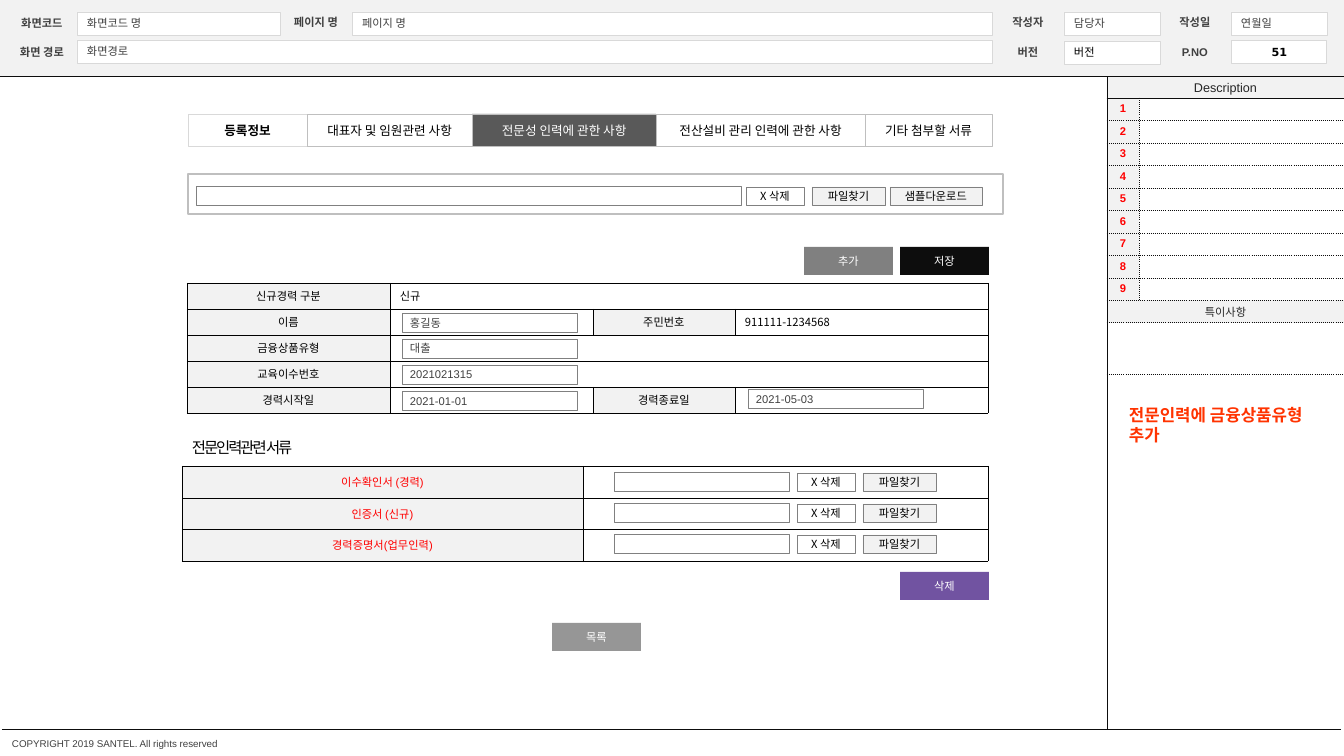
import lxml.etree
import pptx
import pptx.dml.color
import pptx.enum.dml
import pptx.enum.shapes
import pptx.enum.text
import pptx.oxml.ns
import pptx.util

SHAPE = pptx.enum.shapes.MSO_SHAPE
ALIGN = pptx.enum.text.PP_ALIGN
ANCHOR = pptx.enum.text.MSO_ANCHOR
ROUND_DOT = pptx.enum.dml.MSO_LINE.ROUND_DOT
SANS, KOREAN, DIGITS = "Arial", "Noto Sans CJK KR", "DejaVu Sans"
BLACK, WHITE, PALE, GREY, INK = "000000", "FFFFFF", "F2F2F2", "808080", "404040"
LINE, RED, DARK, FAINT, SILVER = "0D0D0D", "FF0000", "262626", "D9D9D9", "BFBFBF"


def px(length):
    return pptx.util.Emu(round(length * 914400 / 100.8))


def rgb(value):
    return pptx.dml.color.RGBColor.from_string(value)


def add_xml(parent, tag, **attributes):
    return lxml.etree.SubElement(parent, pptx.oxml.ns.qn(tag), **attributes)


class Screen:
    """Draws wireframe elements on one page, with lengths in px."""

    def __init__(self, deck):
        self.page = deck.slides.add_slide(deck.slide_layouts[6])

    def style_para(self, para, size=8, colour=BLACK, font=KOREAN, bold=False,
                   align=ALIGN.CENTER, tracking=0):
        para.alignment = align
        para.font.size = pptx.util.Pt(size)
        para.font.bold = bold
        para.font.color.rgb = rgb(colour)
        para.font.name = font
        properties = para._p.pPr.defRPr
        add_xml(properties, "a:ea", typeface=KOREAN)
        if tracking:
            properties.set("spc", str(tracking))

    def set_text(self, frame, text, insets=(0, 0), anchor=ANCHOR.MIDDLE, wrap=False, **style):
        frame.margin_left = frame.margin_right = px(insets[0])
        frame.margin_top = frame.margin_bottom = px(insets[1])
        frame.vertical_anchor = anchor
        frame.word_wrap = wrap
        frame.text = text
        for para in frame.paragraphs:
            self.style_para(para, **style)

    def text(self, left, top, width, height, text, **style):
        box = self.page.shapes.add_textbox(px(left), px(top), px(width), px(height))
        self.set_text(box.text_frame, text, wrap=True, **style)

    def box(self, left, top, width, height, fill=None, line=None, weight=0.5, text="", **style):
        shape = self.page.shapes.add_shape(SHAPE.RECTANGLE, px(left), px(top), px(width), px(height))
        shape.shadow.inherit = False
        if fill:
            shape.fill.solid()
            shape.fill.fore_color.rgb = rgb(fill)
        else:
            shape.fill.background()
        if line:
            shape.line.color.rgb = rgb(line)
            shape.line.width = pptx.util.Pt(weight)
        else:
            shape.line.fill.background()
        if text:
            self.set_text(shape.text_frame, text, **style)

    def rule(self, left, top, right, bottom):
        line = self.page.shapes.add_connector(
            pptx.enum.shapes.MSO_CONNECTOR.STRAIGHT, px(left), px(top), px(right), px(bottom))
        line.line.color.rgb = rgb(LINE)
        line.line.width = pptx.util.Pt(0.25)
        line.line.dash_style = ROUND_DOT
        add_xml(line._element.spPr, "a:effectLst")

    def button(self, left, top, text, fill):
        self.box(left, top, 89, 28, fill, text=text, colour=WHITE)

    def field(self, left, top, text="", width=175):
        self.box(left, top, width, 19, WHITE, GREY, text=text, insets=(8, 0),
                 font=SANS, colour=INK, align=ALIGN.LEFT)

    def upload(self, left, top, width, remove_left):
        self.field(left, top, width=width)
        self.box(remove_left, top + 1, 58, 18, WHITE, GREY, text="X 삭제")
        self.box(remove_left + 66, top + 1, 73, 18, PALE, GREY, text="파일찾기")

    def border(self, cell, colour, weight, dash):
        properties = cell._tc.get_or_add_tcPr()
        for side in "LRTB":
            edge = add_xml(properties, f"a:ln{side}", w=str(pptx.util.Pt(weight)))
            add_xml(add_xml(edge, "a:solidFill"), "a:srgbClr", val=colour)
            add_xml(edge, "a:prstDash", val=dash)

    def table(self, left, top, widths, heights, texts, spans=(), labels=(0,),
              edge=(BLACK, 0.25, "solid"), **style):
        frame = self.page.shapes.add_table(
            len(heights), len(widths), px(left), px(top), px(sum(widths)), px(sum(heights)))
        table = frame.table
        table.first_row = table.horz_banding = False
        for column, width in zip(table.columns, widths):
            column.width = px(width)
        for row, height in zip(table.rows, heights):
            row.height = px(height)
        for row, line in enumerate(texts):
            for column, text in enumerate(line):
                cell = table.cell(row, column)
                label = bool(text) and column in labels
                self.border(cell, *edge)
                cell.fill.solid()
                cell.fill.fore_color.rgb = rgb(PALE if label else WHITE)
                cell.margin_left = px(2 if label else 10)
                cell.margin_right = cell.margin_top = cell.margin_bottom = px(2)
                cell.vertical_anchor = ANCHOR.MIDDLE
                para = cell.text_frame.paragraphs[0]
                para.text = text
                if label:
                    self.style_para(para, font=SANS, **style)
                else:
                    self.style_para(para, align=ALIGN.LEFT)
                para._p.get_or_add_endParaRPr().set("sz", "800")
        for row, first, last in spans:
            table.cell(row, first).merge(table.cell(row, last))
        return table


def draw_header(screen):
    screen.box(0, 0, 1344, 76, PALE)
    for left, top, width, text, colour in (
            (77, 12, 203, "화면코드 명", INK), (352, 12, 640, "페이지 명", INK),
            (77, 40, 915, "화면경로", INK), (1064, 12, 96, "담당자", INK),
            (1231, 12, 96, "연월일", INK), (1064, 41, 96, "버전", BLACK)):
        screen.box(left, top, width, 23, WHITE, FAINT, 0.25, text, insets=(10, 0),
                   font=SANS, colour=colour, align=ALIGN.LEFT)
    for left, top, text in (
            (6, 17, "화면코드"), (6, 46, "화면 경로"), (280, 16, "페이지 명"), (992, 16, "작성자"),
            (1159, 16, "작성일"), (992, 46, "버전"), (1159, 46, "P.NO")):
        screen.text(left, top, 72, 13, text, font=SANS, colour=INK, bold=True)
    screen.box(1232, 41, 95, 23, WHITE, FAINT, 0.75, "51", font=DIGITS, bold=True)


def draw_description(screen):
    screen.box(1107, 77, 237, 21, PALE, text="Description", font=SANS, size=9, colour=DARK)
    numbers = [[str(number), ""] for number in range(1, 10)]
    table = screen.table(1107, 98, [32, 205], [22, 23] * 5 + [52],
                         numbers + [["특이사항", ""], ["", ""]], spans=[(9, 0, 1), (10, 0, 1)],
                         edge=(LINE, 0.5, "sysDot"), colour=RED, bold=True)
    note = table.cell(9, 0).text_frame.paragraphs[0]
    note.font.bold = False
    note.font.color.rgb = rgb(DARK)
    screen.text(1119, 400, 225, 50, "전문인력에 금융상품유형\n추가", insets=(10, 5),
                anchor=ANCHOR.TOP, size=12, colour="FF3300", bold=True, align=ALIGN.LEFT)
    for ends in ((0, 76, 1344, 76), (1107, 77, 1107, 729), (1107, 98, 1344, 98), (2, 729, 1340, 729)):
        screen.rule(*ends)
    screen.text(12, 738, 368, 12, "COPYRIGHT 2019 SANTEL. All rights reserved",
                font=SANS, size=7, colour=INK, align=ALIGN.LEFT)


def draw_form(screen):
    tabs = ["등록정보", "대표자 및 임원관련 사항", "전문성 인력에 관한 사항",
            "전산설비 관리 인력에 관한 사항", "기타 첨부할 서류"]
    edges = [188, 307, 472, 656, 865, 992]
    for index, text in enumerate(tabs):
        active = index == 2
        screen.box(edges[index], 114, edges[index + 1] - edges[index], 32,
                   "595959" if active else None, SILVER if index else FAINT, 0.25, text,
                   size=9, colour=WHITE if active else BLACK, bold=index == 0)

    screen.box(188, 174, 815, 40, line=SILVER, weight=1.5)
    screen.upload(196, 186, 545, 746)
    screen.box(890, 187, 92, 18, PALE, GREY, text="샘플다운로드")
    screen.button(804, 247, "추가", GREY)
    screen.button(900, 247, "저장", LINE)

    screen.table(187, 283, [203, 203, 142, 253], [26] * 5,
                 [["신규경력 구분", "신규", "", ""],
                  ["이름", "", "주민번호", "911111-1234568"],
                  ["금융상품유형", "", "", ""],
                  ["교육이수번호", "", "", ""],
                  ["경력시작일", "", "경력종료일", ""]],
                 spans=[(row, 1, 3) for row in (0, 2, 3)], labels=(0, 2))
    for row, text in enumerate(["홍길동", "대출", "2021021315", "2021-01-01"]):
        screen.field(402, 313 + 26 * row, text)
    screen.field(748, 389, "2021-05-03")

    screen.text(182, 433, 246, 29, "전문인력관련 서류", insets=(10, 5), font=SANS, size=11,
                align=ALIGN.LEFT, tracking=-150)
    documents = ["이수확인서 (경력)", "인증서 (신규)", "경력증명서(업무인력)"]
    screen.table(182, 466, [401, 405], [32, 31, 32], [[name, ""] for name in documents], colour=RED)
    for row in range(len(documents)):
        screen.upload(614, 472 + 31 * row, 175, 797)
    screen.button(900, 572, "삭제", "7153A1")
    screen.button(552, 623, "목록", "969696")


def main():
    deck = pptx.Presentation()
    deck.slide_width, deck.slide_height = px(1344), px(756)
    screen = Screen(deck)
    draw_header(screen)
    draw_description(screen)
    draw_form(screen)
    deck.save("out.pptx")


if __name__ == "__main__":
    main()
